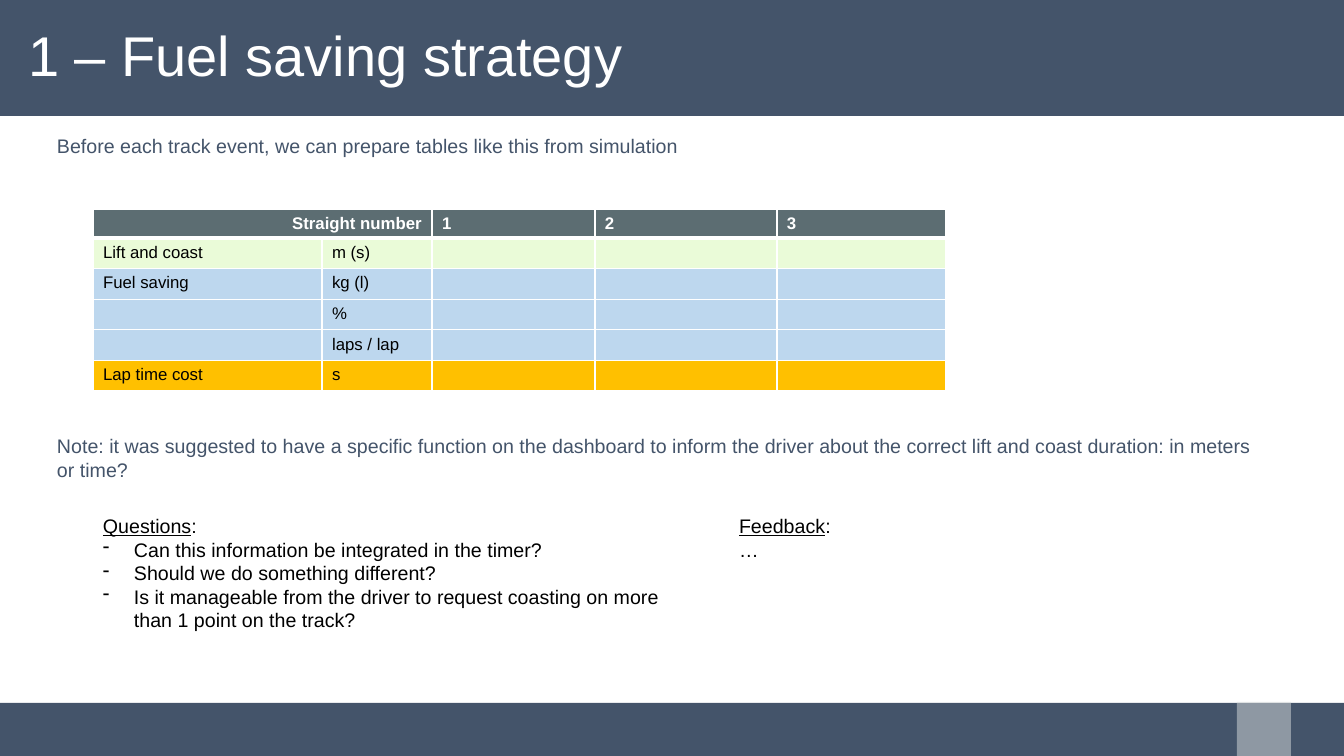
from dataclasses import dataclass
from typing import Any

from lxml import etree
from pptx import Presentation
from pptx.dml.color import RGBColor
from pptx.enum.shapes import MSO_SHAPE
from pptx.enum.text import MSO_ANCHOR, PP_ALIGN
from pptx.oxml.ns import qn
from pptx.util import Emu, Pt

RECTANGLE = MSO_SHAPE.RECTANGLE
MIDDLE, TOP = MSO_ANCHOR.MIDDLE, MSO_ANCHOR.TOP
RIGHT = PP_ALIGN.RIGHT
SLIDE_WIDTH, SLIDE_HEIGHT = 1344, 756
EMU_PER_PIXEL = 12192000 / SLIDE_WIDTH
COLORS = {
    "slate": "44546A",
    "page": "D9DCDC",
    "header": "5C6D72",
    "green": "EAFBD8",
    "blue": "BDD7EE",
    "amber": "FFC000",
    "white": "FFFFFF",
    "black": "000000",
}
TITLE_FORMAT = {"size": Pt(40), "name": "Arial"}
BODY_FORMAT = {"size": Pt(14), "name": "Arial"}
HEADING_FORMAT = BODY_FORMAT | {"underline": True}
CELL_FORMAT = {"size": Pt(12), "name": "Arial", "bold": False}
HEADER_FORMAT = CELL_FORMAT | {"bold": True}


def px(value: float) -> Emu:
    return Emu(round(value * EMU_PER_PIXEL))


@dataclass
class Box:
    left: int
    top: int
    width: int
    height: int

    def place(self) -> tuple[Emu, Emu, Emu, Emu]:
        return px(self.left), px(self.top), px(self.width), px(self.height)


@dataclass
class Band:
    box: Box
    color: str
    opacity: int = 100


@dataclass
class TextBlock:
    box: Box
    lines: list[str]
    color: str
    formats: dict[str, Any]
    heading: str = ""
    bulleted: bool = False
    wrap: bool = True
    anchor: Any = TOP
    left_inset: int = 10
    line_spacing: float = 1.0


@dataclass
class TableRow:
    label: str
    unit: str
    color: str


BANDS = [
    Band(Box(0, 0, SLIDE_WIDTH, 116), "slate"),
    Band(Box(0, 703, SLIDE_WIDTH, 53), "slate"),
    Band(Box(1237, 702, 54, 54), "page", 50),
]
TEXT_BLOCKS = [
    TextBlock(Box(0, 0, SLIDE_WIDTH, 116), ["1 – Fuel saving strategy"], "white",
              TITLE_FORMAT, anchor=MIDDLE, left_inset=28, line_spacing=0.9),
    TextBlock(Box(47, 129, 1224, 34),
              ["Before each track event, we can prepare tables like this from simulation"],
              "slate", BODY_FORMAT),
    TextBlock(Box(47, 429, 1224, 58),
              ["Note: it was suggested to have a specific function on the dashboard to inform "
               "the driver about the correct lift and coast duration: in meters or time?"],
              "slate", BODY_FORMAT),
    TextBlock(Box(93, 509, 591, 129),
              ["Can this information be integrated in the timer?",
               "Should we do something different?",
               "Is it manageable from the driver to request coasting on more than 1 point "
               "on the track?"],
              "black", BODY_FORMAT, heading="Questions", bulleted=True),
    TextBlock(Box(729, 509, 113, 57), ["…"], "black", BODY_FORMAT,
              heading="Feedback", wrap=False),
]
TABLE_LEFT, TABLE_TOP, ROW_HEIGHT = 93, 209, 29
COLUMN_WIDTHS = [229, 110, 163, 182, 169]
STRAIGHTS = ["1", "2", "3"]
TABLE_ROWS = [
    TableRow("Lift and coast", "m (s)", "green"),
    TableRow("Fuel saving", "kg (l)", "blue"),
    TableRow("", "%", "blue"),
    TableRow("", "laps / lap", "blue"),
    TableRow("Lap time cost", "s", "amber"),
]


def rgb(color: str) -> RGBColor:
    return RGBColor.from_string(COLORS[color])


def set_attributes(target: Any, values: dict[str, Any]) -> None:
    for name, value in values.items():
        setattr(target, name, value)


def paint(target: Any, color: str) -> None:
    target.fill.solid()
    target.fill.fore_color.rgb = rgb(color)


def add_run(paragraph: Any, text: str, color: str, formats: dict[str, Any]) -> None:
    run = paragraph.add_run()
    run.text = text
    set_attributes(run.font, formats)
    run.font.color.rgb = rgb(color)


def add_bullet(paragraph: Any) -> None:
    properties = paragraph._p.get_or_add_pPr()
    properties.set("marL", str(px(31)))
    properties.set("indent", str(px(-31)))
    etree.SubElement(properties, qn("a:buChar"), char="-")


def draw_band(slide: Any, band: Band) -> None:
    shape = slide.shapes.add_shape(RECTANGLE, *band.box.place())
    shape.shadow.inherit = False
    paint(shape, band.color)
    shape.line.fill.background()
    if band.opacity < 100:
        color = shape._element.spPr.find(qn("a:solidFill"))[0]
        etree.SubElement(color, qn("a:alpha"), val=str(band.opacity * 1000))


def draw_text(slide: Any, block: TextBlock) -> None:
    frame = slide.shapes.add_textbox(*block.box.place()).text_frame
    set_attributes(frame, {
        "word_wrap": block.wrap,
        "vertical_anchor": block.anchor,
        "margin_left": px(block.left_inset),
    })
    paragraph = frame.paragraphs[0]
    if block.heading:
        add_run(paragraph, block.heading, block.color, HEADING_FORMAT)
        add_run(paragraph, ":", block.color, block.formats)
    for index, line in enumerate(block.lines):
        if index or block.heading:
            paragraph = frame.add_paragraph()
        paragraph.line_spacing = block.line_spacing
        if block.bulleted:
            add_bullet(paragraph)
        add_run(paragraph, line, block.color, block.formats)


def add_borders(cell: Any, top: int, bottom: int) -> None:
    properties = cell._tc.get_or_add_tcPr()
    for side, width in {"lnL": 1, "lnR": 1, "lnT": top, "lnB": bottom}.items():
        line = etree.SubElement(properties, qn(f"a:{side}"), w=str(Pt(width)))
        fill = etree.SubElement(line, qn("a:solidFill"))
        etree.SubElement(fill, qn("a:srgbClr"), val=COLORS["white"])


def draw_table(slide: Any) -> None:
    contents = [["Straight number", "", *STRAIGHTS]]
    contents += [[row.label, row.unit, *[""] * len(STRAIGHTS)] for row in TABLE_ROWS]
    fills = ["header", *[row.color for row in TABLE_ROWS]]
    box = Box(TABLE_LEFT, TABLE_TOP, sum(COLUMN_WIDTHS), ROW_HEIGHT * len(contents))
    table = slide.shapes.add_table(len(contents), len(COLUMN_WIDTHS), *box.place()).table
    table.horz_banding = False
    for column, width in zip(table.columns, COLUMN_WIDTHS):
        column.width = px(width)
    for row_index, (texts, fill) in enumerate(zip(contents, fills)):
        is_header = row_index == 0
        for column_index, text in enumerate(texts):
            cell = table.cell(row_index, column_index)
            add_borders(cell, 3 if row_index == 1 else 1, 3 if is_header else 1)
            paint(cell, fill)
            paragraph = cell.text_frame.paragraphs[0]
            if text:
                add_run(paragraph, text, "white" if is_header else "black",
                        HEADER_FORMAT if is_header else CELL_FORMAT)
            else:
                etree.SubElement(paragraph._p, qn("a:endParaRPr"), sz="1200")
    table.cell(0, 0).merge(table.cell(0, 1))
    table.cell(0, 0).text_frame.paragraphs[0].alignment = RIGHT


presentation = Presentation()
presentation.slide_width, presentation.slide_height = px(SLIDE_WIDTH), px(SLIDE_HEIGHT)
slide = presentation.slides.add_slide(presentation.slide_layouts[6])
for band in BANDS:
    draw_band(slide, band)
draw_table(slide)
for block in TEXT_BLOCKS:
    draw_text(slide, block)
presentation.save("out.pptx")
